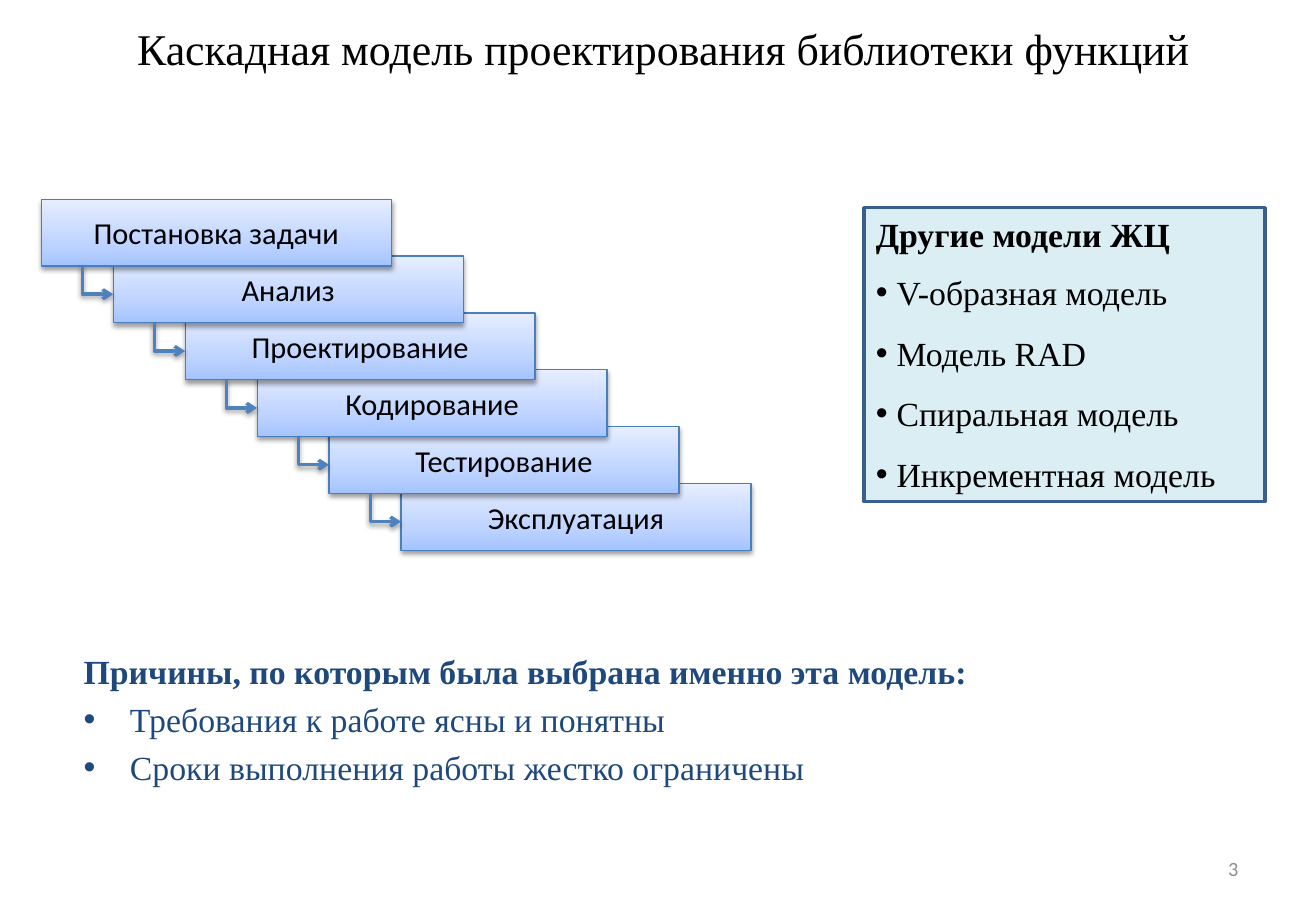
from copy import deepcopy

from lxml.etree import SubElement
from pptx import Presentation
from pptx.dml.color import RGBColor
from pptx.enum.shapes import MSO_CONNECTOR, MSO_SHAPE
from pptx.enum.text import MSO_ANCHOR as ANCHOR, PP_ALIGN as ALIGN
from pptx.oxml.ns import qn
from pptx.util import Inches, Pt

BLACK = RGBColor(0x00, 0x00, 0x00)
NAVY = RGBColor(0x1F, 0x49, 0x7D)
GREY = RGBColor(0x8C, 0x8C, 0x8C)
PANEL_FILL = RGBColor(0xDB, 0xEE, 0xF4)
PANEL_LINE = RGBColor(0x3A, 0x5F, 0x8C)
STEP_LINE = RGBColor(0x4B, 0x7E, 0xBC)
ARROW = RGBColor(0x4F, 0x81, 0xBD)
STEP_STOPS = [
    (0, RGBColor(0xA4, 0xC4, 0xFF)),
    (0.35, RGBColor(0xBF, 0xD4, 0xFF)),
    (1, RGBColor(0xE6, 0xEE, 0xFF)),
]
SERIF, SANS = "Times New Roman", "Calibri"

STEPS = ["Постановка задачи", "Анализ", "Проектирование",
         "Кодирование", "Тестирование", "Эксплуатация"]
MODELS = ["V-образная модель", "Модель RAD",
          "Спиральная модель", "Инкрементная модель"]
REASONS = ["Требования к работе ясны и понятны",
           "Сроки выполнения работы жестко ограничены"]


def add_bullet(p, indent):
    """Give a paragraph a round bullet with a hanging indent."""
    pPr = p._p.get_or_add_pPr()
    pPr.set("marL", str(Inches(indent)))
    pPr.set("indent", str(-Inches(indent)))
    SubElement(pPr, qn("a:buFont"), typeface="Arial")
    SubElement(pPr, qn("a:buChar"), char="•")


def write(sp, lines, size, font=SERIF, color=BLACK, bold=False, align=ALIGN.LEFT,
          anchor=ANCHOR.TOP, indent=None, leading=None, before=None):
    """Fill a shape with one paragraph per line in a single style."""
    tf = sp.text_frame
    tf.word_wrap = True
    tf.vertical_anchor = anchor
    for i, line in enumerate(lines):
        p = tf.add_paragraph() if i else tf.paragraphs[0]
        p.alignment = align
        if leading is not None:
            p.line_spacing = leading
        if before is not None:
            p.space_before = Pt(before)
        if indent is not None:
            add_bullet(p, indent)
        r = p.add_run()
        r.text = line
        r.font.name, r.font.size, r.font.bold = font, Pt(size), bold
        r.font.color.rgb = color


def add_text(slide, x, y, w, h, lines, size, **style):
    """Add a text box with styled lines."""
    sp = slide.shapes.add_textbox(Inches(x), Inches(y), Inches(w), Inches(h))
    write(sp, lines, size, **style)


def add_rect(slide, x, y, w, h, line, weight):
    """Add an outlined rectangle without a shadow."""
    sp = slide.shapes.add_shape(
        MSO_SHAPE.RECTANGLE, Inches(x), Inches(y), Inches(w), Inches(h))
    sp.shadow.inherit = False
    sp.line.color.rgb = line
    sp.line.width = Pt(weight)
    return sp


def add_shadow(effects):
    """Put a soft shadow below into an effect list."""
    shadow = SubElement(effects, qn("a:outerShdw"), blurRad=str(Pt(3.1)),
                        dist=str(Pt(1.6)), dir="5400000", rotWithShape="0")
    black = SubElement(shadow, qn("a:srgbClr"), val="000000")
    SubElement(black, qn("a:alpha"), val="38000")


def add_step(slide, x, y, w, h, label):
    """Add one gradient step of the cascade."""
    sp = add_rect(slide, x, y, w, h, STEP_LINE, 0.75)
    spPr = sp.element.spPr
    sp.fill.gradient()
    sp.fill.gradient_angle = 90
    stops = spPr.find(".//" + qn("a:gsLst"))
    stops.append(deepcopy(stops[0]))
    for stop, (position, color) in zip(sp.fill.gradient_stops, STEP_STOPS):
        stop.position = position
        stop.color.rgb = color
    add_shadow(spPr.find(qn("a:effectLst")))
    write(sp, [label], 18, font=SANS, align=ALIGN.CENTER, anchor=ANCHOR.MIDDLE)


def add_step_arrow(slide, x, y, w, h):
    """Add an elbow arrow that runs down and then right within the box."""
    left, top = x + (w - h) / 2, y + (h - w) / 2
    cxn = slide.shapes.add_connector(
        MSO_CONNECTOR.ELBOW, Inches(left), Inches(top),
        Inches(left + h), Inches(top + w))
    cxn.line.color.rgb = ARROW
    cxn.line.width = Pt(2)
    spPr = cxn.element.spPr
    xfrm = spPr.find(qn("a:xfrm"))
    xfrm.set("rot", "16200000")
    xfrm.set("flipH", "1")
    guides = spPr.find(".//" + qn("a:avLst"))
    SubElement(guides, qn("a:gd"), name="adj1", fmla="val 99700")
    SubElement(spPr.find(qn("a:ln")), qn("a:tailEnd"), type="arrow")
    add_shadow(SubElement(spPr, qn("a:effectLst")))


def add_cascade(slide, x, y, w, h):
    """Add the descending steps, upper ones in front, and their arrows."""
    step_w, step_h = 2.88, 0.55
    gaps = len(STEPS) - 1
    dx, dy = (w - step_w) / gaps, (h - step_h) / gaps
    for i, label in reversed(list(enumerate(STEPS))):
        add_step(slide, x + i * dx, y + i * dy, step_w, step_h, label)
    for i in range(gaps):
        add_step_arrow(slide, x + i * dx + 0.34, y + i * dy + step_h,
                       dx - 0.34, dy - step_h / 2 + 0.04)


def add_models(slide, x, y, w, h):
    """Add the panel that lists other life cycle models."""
    sp = add_rect(slide, x, y, w, h, PANEL_LINE, 2)
    sp.fill.solid()
    sp.fill.fore_color.rgb = PANEL_FILL
    add_text(slide, x, y + 0.31, w - 0.11, h - 0.3, MODELS, 20,
             indent=0.17, leading=1.5)
    add_text(slide, x, y, w - 0.6, 0.44, ["Другие модели ЖЦ"], 20, bold=True)


def add_reasons(slide, x, y, w, h):
    """Add the heading and bullets on why the model was chosen."""
    add_text(slide, x, y, w - 0.9, 0.44,
             ["Причины, по которым была выбрана именно эта модель:"], 20,
             color=NAVY, bold=True)
    add_text(slide, x, y + 0.39, w, h - 0.39, REASONS, 20,
             color=NAVY, indent=0.38, before=4.6)


def main():
    """Build and save the slide."""
    prs = Presentation()
    prs.slide_width, prs.slide_height = Inches(10.83), Inches(7.5)
    slide = prs.slides.add_slide(prs.slide_layouts[6])
    add_text(slide, 0.59, 0, 9.75, 0.79,
             ["Каскадная модель проектирования библиотеки функций"], 26,
             align=ALIGN.CENTER, anchor=ANCHOR.MIDDLE)
    add_cascade(slide, 0.34, 1.64, 5.84, 2.89)
    add_models(slide, 7.11, 1.71, 3.3, 2.42)
    add_reasons(slide, 0.59, 5.31, 8.51, 1.33)
    add_text(slide, 7.76, 6.95, 2.53, 0.4, ["3"], 12, font=SANS, color=GREY,
             align=ALIGN.RIGHT, anchor=ANCHOR.MIDDLE)
    prs.save("out.pptx")


if __name__ == "__main__":
    main()
